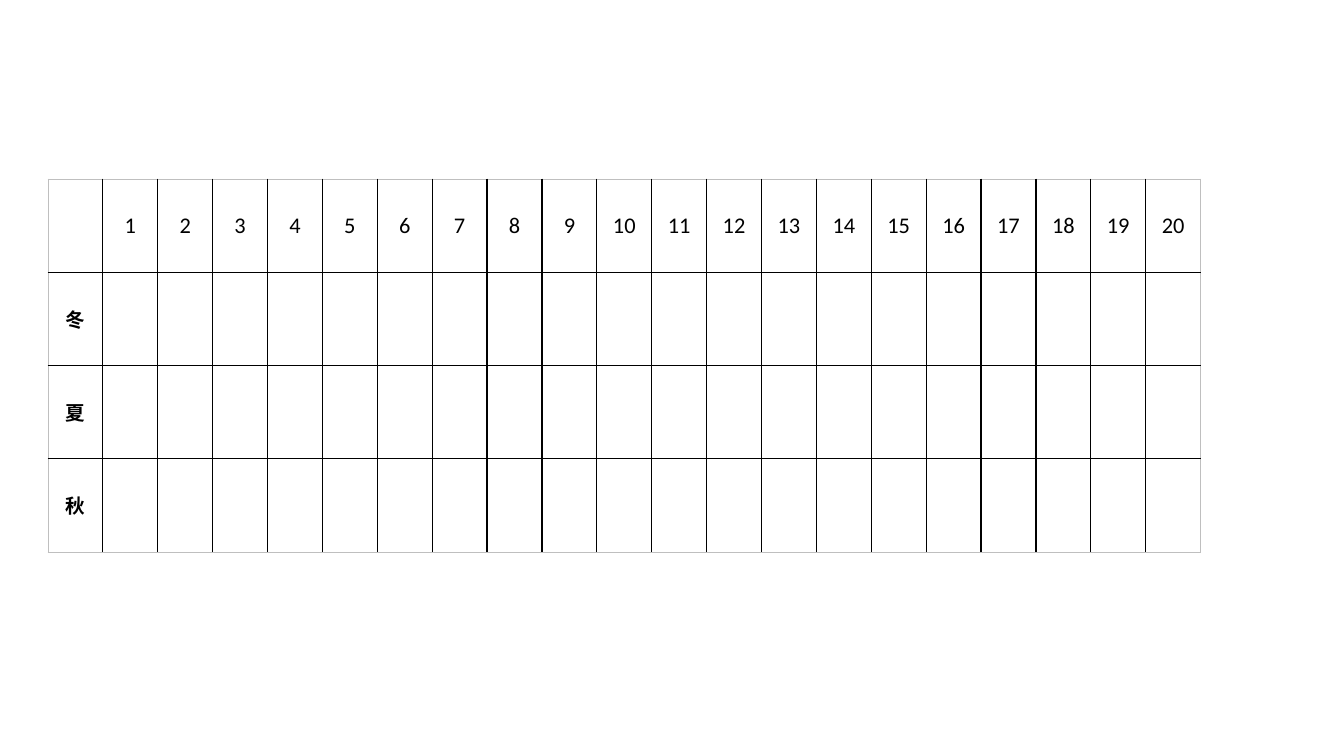
from lxml.etree import SubElement
from pptx import Presentation
from pptx.dml.color import RGBColor
from pptx.enum.text import MSO_ANCHOR as Anchor, PP_ALIGN as Align
from pptx.oxml.ns import qn
from pptx.util import Pt

# Content
SEASONS = ["冬", "夏", "秋"]
NUMBERS = [str(number) for number in range(1, 21)]
ROWS = [["", *NUMBERS]] + [[season] + [""] * len(NUMBERS) for season in SEASONS]

# Layout in px
SCALE = 914400 / 100.8
SLIDE_SIZE = (1344, 756)
TABLE_BOX = (48, 179, 1153, 373)

# Style: name, size, bold
NUMBER_FONT = ("Calibri", 16, False)
SEASON_FONT = ("Noto Sans CJK SC", 14, True)
INK = "000000"
INNER_LINE = (INK, 1)
OUTER_LINE = ("BFBFBF", 0.5)


def emu(px):
    return round(px * SCALE)


def color(value):
    return RGBColor.from_string(value)


def set_borders(cell, outer_sides):
    properties = cell._tc.get_or_add_tcPr()
    for side, is_outer in outer_sides.items():
        value, width = OUTER_LINE if is_outer else INNER_LINE
        line = SubElement(properties, qn(f"a:ln{side}"), w=str(Pt(width)))
        fill = SubElement(line, qn("a:solidFill"))
        SubElement(fill, qn("a:srgbClr"), val=value)


def write(cell, text, font):
    name, size, bold = font
    cell.vertical_anchor = Anchor.MIDDLE
    para = cell.text_frame.paragraphs[0]
    para.text = text
    para.alignment = Align.CENTER
    for span in para.runs:
        span.font.name, span.font.size, span.font.bold = name, Pt(size), bold
        span.font.color.rgb = color(INK)
        SubElement(span._r.get_or_add_rPr(), qn("a:ea"), typeface=name)


def add_season_table(page):
    row_count, column_count = len(ROWS), len(ROWS[0])
    left, top, width, height = map(emu, TABLE_BOX)
    frame = page.shapes.add_table(row_count, column_count, left, top, width, height)
    table = frame.table
    table.first_row = table.horz_banding = False
    for column in table.columns:
        column.width = width // column_count
    for row in table.rows:
        row.height = height // row_count

    # Cells: black rules inside, pale frame outside
    for r, texts in enumerate(ROWS):
        for c, text in enumerate(texts):
            cell = table.cell(r, c)
            set_borders(cell, {"L": c == 0, "R": c == column_count - 1,
                               "T": r == 0, "B": r == row_count - 1})
            cell.fill.background()
            write(cell, text, NUMBER_FONT if r == 0 else SEASON_FONT)


def main():
    deck = Presentation()
    deck.slide_width, deck.slide_height = map(emu, SLIDE_SIZE)
    page = deck.slides.add_slide(deck.slide_layouts[6])
    add_season_table(page)
    deck.save("out.pptx")


if __name__ == "__main__":
    main()
